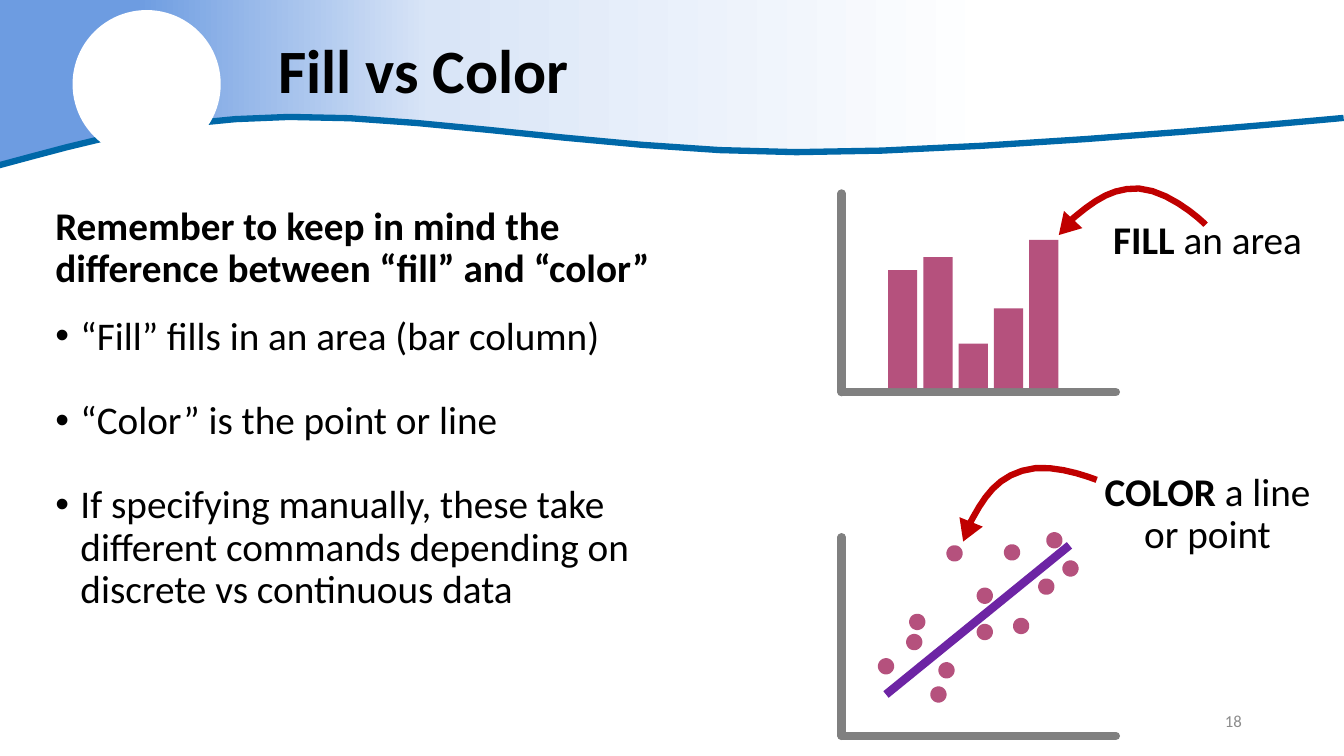
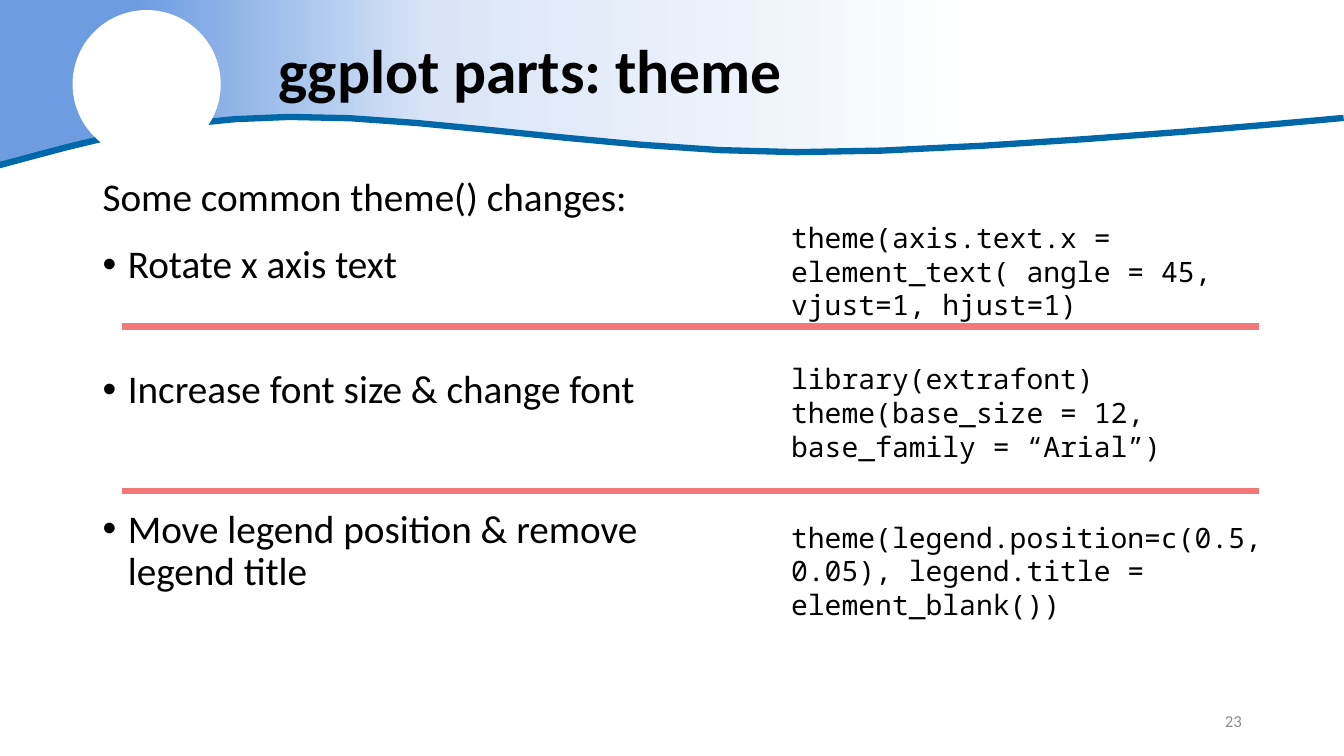
from pptx import Presentation
from pptx.util import Inches, Pt
from pptx.dml.color import RGBColor
from pptx.enum.shapes import MSO_CONNECTOR, MSO_SHAPE
from pptx.enum.text import MSO_ANCHOR, PP_ALIGN
from pptx.oxml.ns import qn
from copy import deepcopy
from lxml import etree
from math import cos, radians, sin

BLACK, WHITE, GRAY = "000000", "FFFFFF", "808080"
ROSE, PURPLE, RED, CORAL = "B5517D", "6D24A4", "C00000", "F27779"
WAVE_BLUE, NUMBER_GRAY = "0068A8", "8C8C8C"
BAND_STOPS = [(0.10, "6D9CE1"), (0.32, "D9E5F7"), (0.74, WHITE)]
WAVE = [
    (-0.01, 1.64), (0.75, 1.44), (1.55, 1.18), (2.87, 1.16),
    (4.19, 1.14), (6.15, 1.51), (7.9, 1.51),
    (9.64, 1.52), (13.33, 1.17), (13.33, 1.17),
]
SANS, MONO = "Calibri", "Noto Sans Mono"


def color(code):
    return RGBColor.from_string(code)


def bezier(controls, steps=7):
    points = [controls[0]]
    for start in range(0, len(controls) - 1, 3):
        a, b, c, d = controls[start:start + 4]
        for step in range(1, steps + 1):
            t = step / steps
            u = 1 - t
            weights = (u ** 3, 3 * u * u * t, 3 * u * t * t, t ** 3)
            points.append(tuple(
                sum(w * p[axis] for w, p in zip(weights, (a, b, c, d)))
                for axis in (0, 1)))
    return points


def turn(point, angle):
    x, y = point
    c, s = cos(radians(angle)), sin(radians(angle))
    return x * c - y * s, x * s + y * c


class Slides:
    def __init__(self):
        self.deck = Presentation()
        self.deck.slide_width = Inches(40 / 3)
        self.deck.slide_height = Inches(7.5)
        self.page = None

    def start(self, title, number):
        self.page = self.deck.slides.add_slide(self.deck.slide_layouts[5])
        edge = [(max(x, 0), y) for x, y in bezier(WAVE)]
        band = self.outline([(0, 0)] + edge + [(13.34, 1.2), (13.34, 0)], close=True)
        band.line.fill.background()
        band.fill.gradient()
        band.fill.gradient_angle = 0
        stops = band.element.find(".//" + qn("a:gsLst"))
        stops.append(deepcopy(stops[0]))
        for stop, (position, code) in zip(band.fill.gradient_stops, BAND_STOPS):
            stop.position = position
            stop.color.rgb = color(code)
        self.curve(bezier(WAVE), WAVE_BLUE)
        self.shape(MSO_SHAPE.OVAL, 0.72, 0.1, 1.47, 1.47, WHITE)
        self.title(title)
        self.text(9.42, 6.95, 3, 0.4, [str(number)], size=12, code=NUMBER_GRAY,
                  align=PP_ALIGN.RIGHT, anchor=MSO_ANCHOR.MIDDLE)

    def title(self, words):
        box = self.page.shapes.title
        box.left, box.top = Inches(2.66), Inches(0)
        box.width, box.height = Inches(10.67), Inches(1.45)
        box.text_frame.text = words
        box.text_frame.vertical_anchor = MSO_ANCHOR.MIDDLE
        para = box.text_frame.paragraphs[0]
        para.alignment = PP_ALIGN.LEFT
        para.line_spacing = 0.9
        self.font(para.font, 44, SANS, BLACK, True)
        box.element.getparent().append(box.element)

    def font(self, font, size, name, code, bold=None):
        font.size, font.name, font.bold = Pt(size), name, bold
        font.color.rgb = color(code)

    def text(self, left, top, width, height, lines, size=28, name=SANS,
             code=BLACK, align=PP_ALIGN.LEFT, anchor=MSO_ANCHOR.TOP,
             spacing=None, before=0):
        box = self.page.shapes.add_textbox(
            Inches(left), Inches(top), Inches(width), Inches(height))
        frame = box.text_frame
        frame.word_wrap = True
        frame.vertical_anchor = anchor
        for index, line in enumerate(lines):
            para = frame.paragraphs[0] if index == 0 else frame.add_paragraph()
            para.text = line
            para.alignment = align
            para.line_spacing = spacing
            para.space_before = Pt(before)
            self.font(para.font, size, name, code)
        return frame.paragraphs

    def body(self, left, top, width, height, heading, bullets, bold=False):
        lines = [heading] + [words for words, gap in bullets]
        paras = self.text(left, top, width, height, lines, spacing=0.9, before=10)
        paras[0].font.bold = bold
        for para, (words, gap) in zip(paras[1:], bullets):
            para.space_before = Pt(gap)
            props = para.font._element.getparent()
            props.set("marL", str(Inches(0.25)))
            props.set("indent", str(-Inches(0.25)))
            defaults = props.find(qn("a:defRPr"))
            defaults.addprevious(etree.Element(qn("a:buFont"), typeface="Arial"))
            defaults.addprevious(etree.Element(qn("a:buChar"), char="•"))

    def label(self, left, top, width, height, strong, rest, spacing):
        para = self.text(left, top, width, height, [strong],
                         align=PP_ALIGN.CENTER, spacing=spacing, before=10)[0]
        para.runs[0].font.bold = True
        span = para.add_run()
        span.text = rest

    def shape(self, kind, left, top, width, height, code):
        shape = self.page.shapes.add_shape(
            kind, Inches(left), Inches(top), Inches(width), Inches(height))
        shape.shadow.inherit = False
        shape.fill.solid()
        shape.fill.fore_color.rgb = color(code)
        shape.line.fill.background()
        return shape

    def outline(self, points, close=False):
        first, *rest = [(Inches(x), Inches(y)) for x, y in points]
        builder = self.page.shapes.build_freeform(*first)
        builder.add_line_segments(rest, close=close)
        shape = builder.convert_to_shape()
        shape.shadow.inherit = False
        return shape

    def curve(self, points, code):
        shape = self.outline(points)
        shape.fill.background()
        shape.line.color.rgb = color(code)
        shape.line.width = Pt(4.5)
        return shape

    def curved_arrow(self, controls, angle, head_left, head_top, head_angle):
        points = [turn(point, -angle) for point in bezier(controls)]
        arc = self.curve(points, RED)
        center = turn((arc.left + arc.width / 2, arc.top + arc.height / 2), angle)
        arc.left = int(center[0] - arc.width / 2)
        arc.top = int(center[1] - arc.height / 2)
        arc.rotation = angle
        head = self.shape(MSO_SHAPE.ISOSCELES_TRIANGLE,
                          head_left, head_top, 0.25, 0.21, RED)
        head.rotation = head_angle

    def line(self, x1, y1, x2, y2, code, width, cap="flat"):
        line = self.page.shapes.add_connector(
            MSO_CONNECTOR.STRAIGHT,
            Inches(x1), Inches(y1), Inches(x2), Inches(y2))
        line.line.color.rgb = color(code)
        line.line.width = Pt(width)
        props = line.element.spPr
        props.find(qn("a:ln")).set("cap", cap)
        etree.SubElement(props, qn("a:effectLst"))

    def axes(self, base):
        left = 8.35
        self.line(left + 2.72, base, left, base, GRAY, 6, "rnd")
        self.line(left, base - 1.97, left, base, GRAY, 6, "rnd")

    def bars(self, left, base, heights):
        for index, height in enumerate(heights):
            self.shape(MSO_SHAPE.RECTANGLE, left + 0.35 * index,
                       base - height, 0.29, height, ROSE)

    def dots(self, corners):
        for left, top in corners:
            dot = self.shape(MSO_SHAPE.OVAL, left, top, 0.08, 0.08, ROSE)
            dot.line.color.rgb = color(ROSE)
            dot.line.width = Pt(6)

    def code(self, top, height, lines):
        self.text(7.75, top, 5.45, height, lines, size=20, name=MONO)


def fill_and_color(slides):
    slides.start("Fill vs Color", 18)
    slides.body(
        0.45, 2, 6.22, 4.76,
        "Remember to keep in mind the difference between “fill” and “color”",
        [("“Fill” fills in an area (bar column)", 18),
         ("“Color” is the point or line", 30),
         ("If specifying manually, these take different commands "
          "depending on discrete vs continuous data", 30)],
        bold=True)
    slides.dots([
        (9.03, 6.33), (8.75, 6.57), (10.09, 6.17), (10.42, 5.32),
        (9.35, 6.61), (9.43, 5.45), (10.34, 5.78), (9.06, 6.13),
        (9.73, 6.23), (10, 5.44), (9.27, 6.85), (10.58, 5.6),
        (9.73, 5.87)])
    slides.line(8.79, 6.89, 10.61, 5.41, PURPLE, 6)
    slides.axes(7.3)
    slides.axes(3.89)
    slides.bars(8.81, 3.85, [1.17, 1.3, 0.44, 0.79, 1.47])
    slides.curved_arrow(
        [(11.96, 2.23), (11.96, 2.22), (11.61, 1.89), (11.3, 1.87),
         (11, 1.86), (10.82, 2.02), (10.58, 2.22)], 294.2, 10.45, 2.15, 222.9)
    slides.label(10.73, 2.18, 2.5, 0.51, "FILL", " an area", 0.8)
    slides.curved_arrow(
        [(10.88, 4.76), (10.87, 4.76), (10.43, 4.57), (10.14, 4.67),
         (9.85, 4.76), (9.74, 4.97), (9.59, 5.25)], 273.4, 9.47, 5.17, 202.1)
    slides.label(10.81, 4.64, 2.34, 0.99, "COLOR", " a line or point", 0.9)


def theme_changes(slides):
    slides.start("ggplot parts: theme", 23)
    slides.body(
        0.92, 1.71, 6.47, 5.04, "Some common theme() changes:",
        [("Rotate x axis text", 18),
         ("Increase font size & change font", 59),
         ("Move legend position & remove legend title", 69.5)])
    slides.code(2.14, 0.77, [
        "theme(axis.text.x = element_text( angle = 45, vjust=1, hjust=1)"])
    slides.code(3.54, 1.31, [
        "library(extrafont)",
        "theme(base_size = 12, base_family = “Arial”)"])
    slides.code(5.11, 0.77, [
        "theme(legend.position=c(0.5, 0.05), legend.title = element_blank())"])
    for y in (3.24, 4.87):
        slides.line(1.21, y, 12.49, y, CORAL, 4.5)


def main():
    slides = Slides()
    fill_and_color(slides)
    theme_changes(slides)
    slides.deck.save("out.pptx")


if __name__ == "__main__":
    main()
